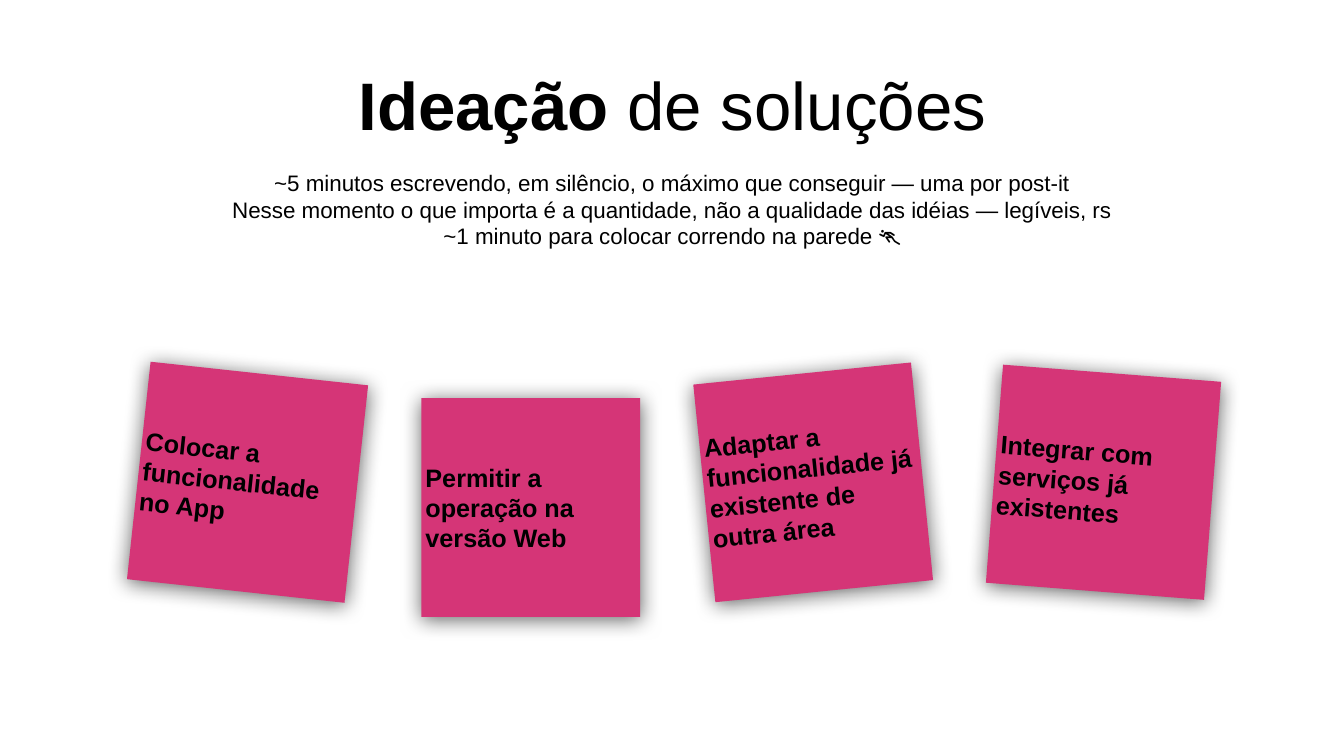
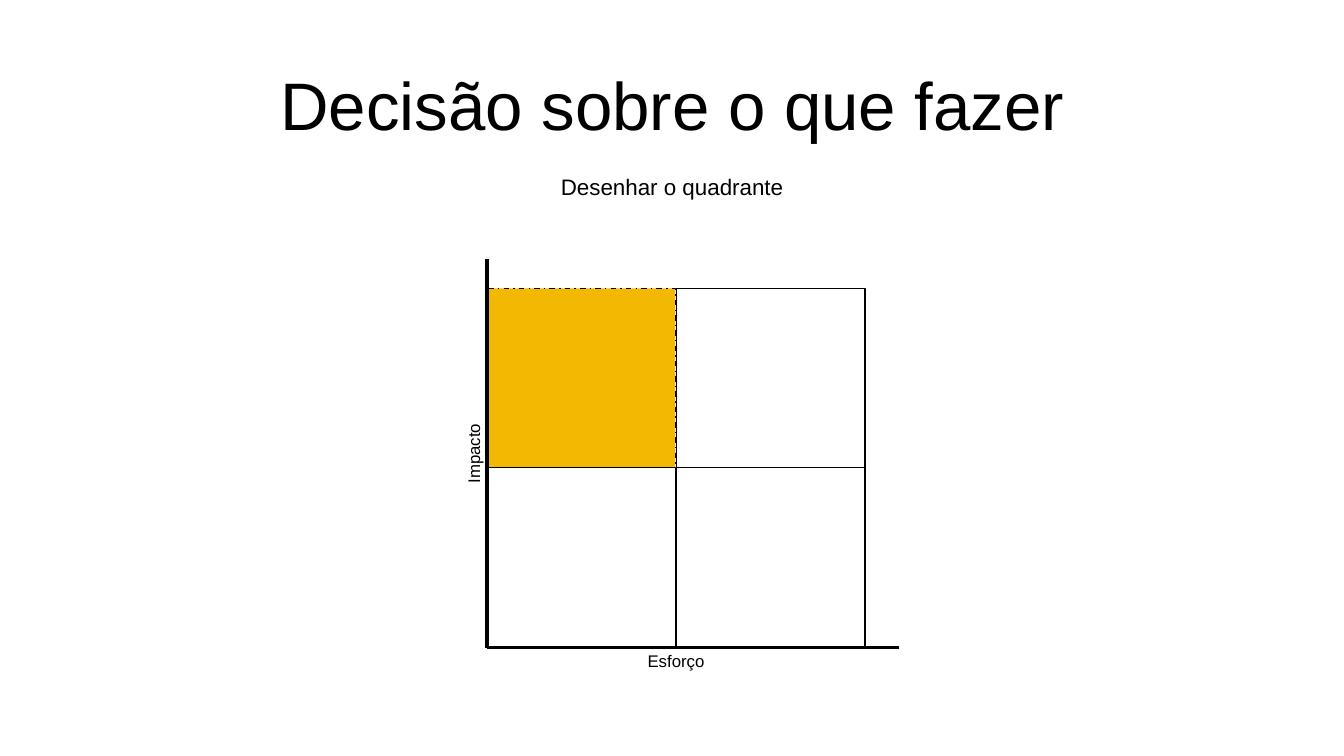
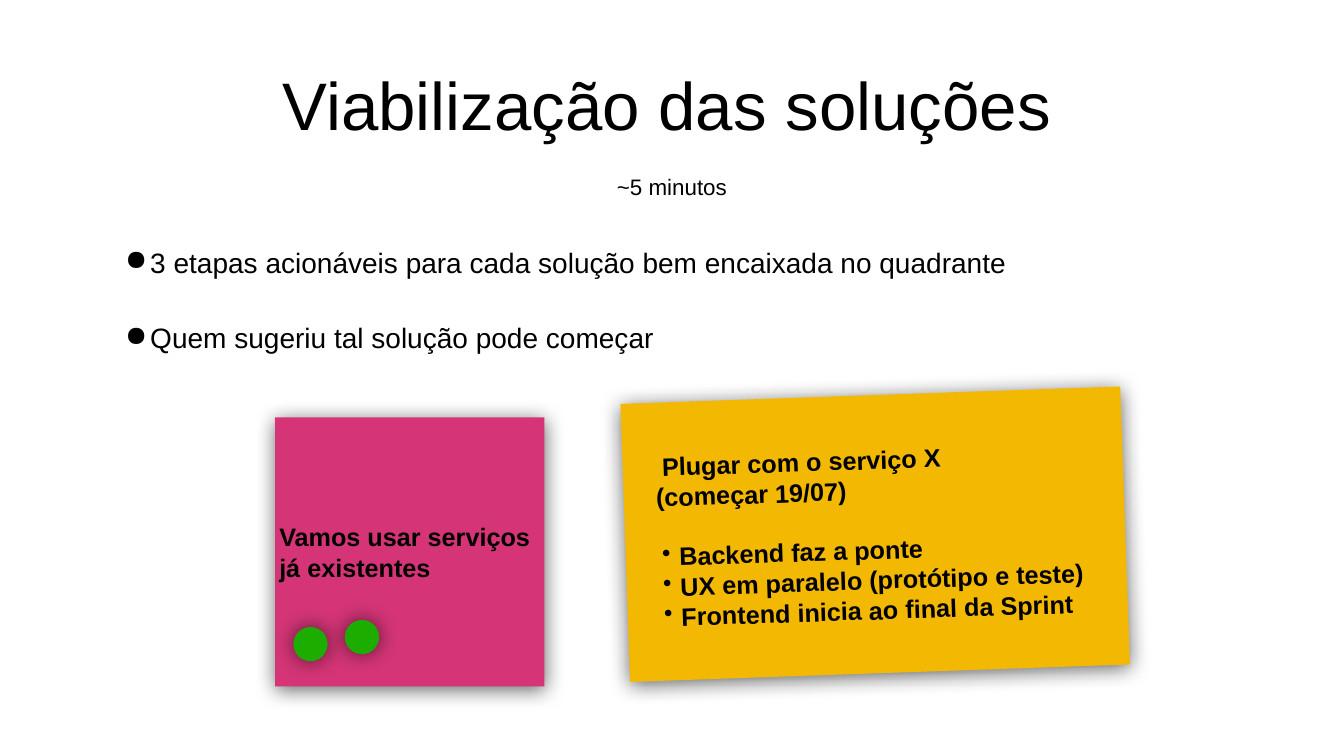
from lxml import etree
from pptx import Presentation
from pptx.dml.color import RGBColor
from pptx.enum import dml, shapes, text
from pptx.oxml.ns import qn
from pptx.util import Inches, Pt

BLACK, WHITE = "000000", "FFFFFF"
PINK, YELLOW, GREEN = "D53577", "F3B802", "1DAD01"
FONT = "Arial"
LEFT, CENTER = text.PP_ALIGN.LEFT, text.PP_ALIGN.CENTER


def color(code):
    return RGBColor.from_string(code)


def indent(paragraph, margin, first, bullet=None):
    """Set left margin and first-line offset in inches, with an optional bullet."""
    props = paragraph._p.get_or_add_pPr()
    props.set("marL", str(Inches(margin)))
    props.set("indent", str(Inches(first)))
    if bullet:
        tint = etree.SubElement(props, qn("a:buClr"))
        etree.SubElement(tint, qn("a:srgbClr"), val=BLACK)
        etree.SubElement(props, qn("a:buChar"), char=bullet)


class Deck:
    def __init__(self):
        self.file = Presentation()
        self.file.slide_width = Inches(13.33)
        self.file.slide_height = Inches(7.5)
        self.page = None

    def new_page(self, title, left, width):
        """Start a slide; title is a list of (words, bold) pairs."""
        self.page = self.file.slides.add_slide(self.file.slide_layouts[6])
        self.page.background.fill.solid()
        self.page.background.fill.fore_color.rgb = color(WHITE)
        box = self.label([""], left, 0.2, width, 1.66, 48)
        for words, bold in title:
            span = box.text_frame.paragraphs[0].add_run()
            span.text = words
            span.font.bold = bold

    def set_text(self, shape, lines, size, bold=False, align=LEFT):
        """Fill a shape; a line is a string or (string, margin, first, bullet, space before)."""
        frame = shape.text_frame
        frame.word_wrap = True
        frame.vertical_anchor = text.MSO_ANCHOR.MIDDLE
        frame.margin_left = frame.margin_right = Inches(0.04)
        frame.margin_top = frame.margin_bottom = Inches(0.04)
        for number, line in enumerate(lines):
            para = frame.add_paragraph() if number else frame.paragraphs[0]
            words, *layout = (line,) if isinstance(line, str) else line
            if words:
                para.add_run().text = words
            if layout:
                margin, first, bullet, before = layout
                indent(para, margin, first, bullet)
                if before:
                    para.space_before = Pt(before)
            para.alignment = align
            para.font.name = FONT
            para.font.size = Pt(size)
            para.font.bold = bold
            para.font.color.rgb = color(BLACK)

    def label(self, lines, left, top, width, height, size, align=CENTER, turn=0):
        box = self.page.shapes.add_textbox(
            Inches(left), Inches(top), Inches(width), Inches(height))
        box.rotation = turn
        self.set_text(box, lines, size, align=align)
        return box

    def shape(self, left, top, width, height, fill, kind="RECTANGLE"):
        shape = self.page.shapes.add_shape(
            shapes.MSO_SHAPE[kind],
            Inches(left), Inches(top), Inches(width), Inches(height))
        shape.fill.solid()
        shape.fill.fore_color.rgb = color(fill)
        shape.line.fill.background()
        shape.shadow.inherit = False
        return shape

    def shade(self, shape, distance):
        """Give a soft shadow, moved down by a distance in points."""
        effects = shape._element.spPr.find(qn("a:effectLst"))
        outer = etree.SubElement(
            effects, qn("a:outerShdw"), blurRad=str(Pt(15)), dist=str(Pt(distance)),
            dir="5400000", rotWithShape="0")
        tint = etree.SubElement(outer, qn("a:srgbClr"), val=BLACK)
        etree.SubElement(tint, qn("a:alpha"), val="60000")

    def note(self, lines, left, top, width, height, fill=PINK, turn=0):
        paper = self.shape(left, top, width, height, fill)
        paper.rotation = turn
        self.shade(paper, 2)
        self.set_text(paper, lines, 18, bold=True)

    def dot(self, left, top):
        self.shade(self.shape(left, top, 0.34, 0.34, GREEN, "OVAL"), 0)

    def quadrant(self, left, top, width, height, fill, weight, dash=None):
        cell = self.shape(left, top, width, height, fill)
        cell.line.color.rgb = color(BLACK)
        cell.line.width = Pt(weight)
        if dash:
            cell.line.dash_style = dash

    def axis(self, x1, y1, x2, y2):
        line = self.page.shapes.add_connector(
            shapes.MSO_CONNECTOR.STRAIGHT,
            Inches(x1), Inches(y1), Inches(x2), Inches(y2))
        line.line.color.rgb = color(BLACK)
        line.line.width = Pt(2.25)
        etree.SubElement(line._element.spPr, qn("a:effectLst"))


def ideation(deck):
    deck.new_page([("Ideação", True), (" de soluções", False)], 1.13, 11.08)
    deck.label([
        "~5 minutos escrevendo, em silêncio, o máximo que conseguir — uma por post-it",
        "Nesse momento o que importa é a quantidade, não a qualidade das idéias — legíveis, rs",
        "~1 minuto para colocar correndo na parede 🏃",
    ], 1.72, 1.63, 9.89, 0.89, 16)
    for words, left, top, turn in (
        ("Colocar a funcionalidade no App", 1.37, 3.7, 6.2),
        ("Permitir a operação na versão Web", 4.18, 3.95, 0),
        ("Adaptar a funcionalidade já existente de outra área", 6.98, 3.7, 354.2),
        ("Integrar com serviços já existentes", 9.86, 3.7, 4.5),
    ):
        deck.note([words], left, top, 2.17, 2.17, turn=turn)


def decision(deck):
    deck.new_page([("Decisão sobre o que fazer", False)], 1.83, 9.68)
    deck.label(["Desenhar o quadrante"], 5.37, 1.68, 2.59, 0.35, 16)
    left, top, width, height = 4.83, 2.86, 1.87, 1.78
    for row in range(2):
        for column in range(2):
            chosen = row == column == 0
            style = (YELLOW, 1, dml.MSO_LINE.DASH_DOT) if chosen else (WHITE, 0.75)
            deck.quadrant(left + column * 1.88, top + row * height, width, height, *style)
    base = top + 2 * height
    deck.axis(left, 2.57, left, base + 0.01)
    deck.axis(8.92, base, left, base)
    deck.label(["Impacto"], 3.4, 4.36, 2.59, 0.28, 12, turn=270)
    deck.label(["Esforço"], 5.41, base, 2.59, 0.28, 12)


def feasibility(deck):
    deck.new_page([("Viabilização das soluções", False)], 0.92, 11.39)
    deck.label([
        ("3 etapas acionáveis para cada solução bem encaixada no quadrante",
         0.33, -0.25, "●", 0),
        ("Quem sugeriu tal solução pode começar", 0.33, -0.25, "●", 30),
    ], 1.12, 2.27, 11.19, 1.41, 20, align=LEFT)
    deck.label(["~5 minutos"], 6, 1.68, 1.33, 0.35, 16)
    deck.note([
        ("Plugar com o serviço X", 0, 0.35, None, 0),
        ("(começar 19/07)", 0.28, 0, None, 0),
        ("Backend faz a ponte", 0.49, -0.17, "•", 21),
        ("UX em paralelo (protótipo e teste)", 0.49, -0.17, "•", 0),
        ("Frontend inicia ao final da Sprint", 0.49, -0.17, "•", 0),
    ], 6.2, 3.92, 4.96, 2.76, YELLOW, 358)
    deck.note(["Vamos usar serviços já existentes"], 2.73, 4.14, 2.67, 2.67)
    deck.dot(2.91, 6.22)
    deck.dot(3.42, 6.15)


def main():
    deck = Deck()
    ideation(deck)
    decision(deck)
    feasibility(deck)
    deck.file.save("out.pptx")


if __name__ == "__main__":
    main()
